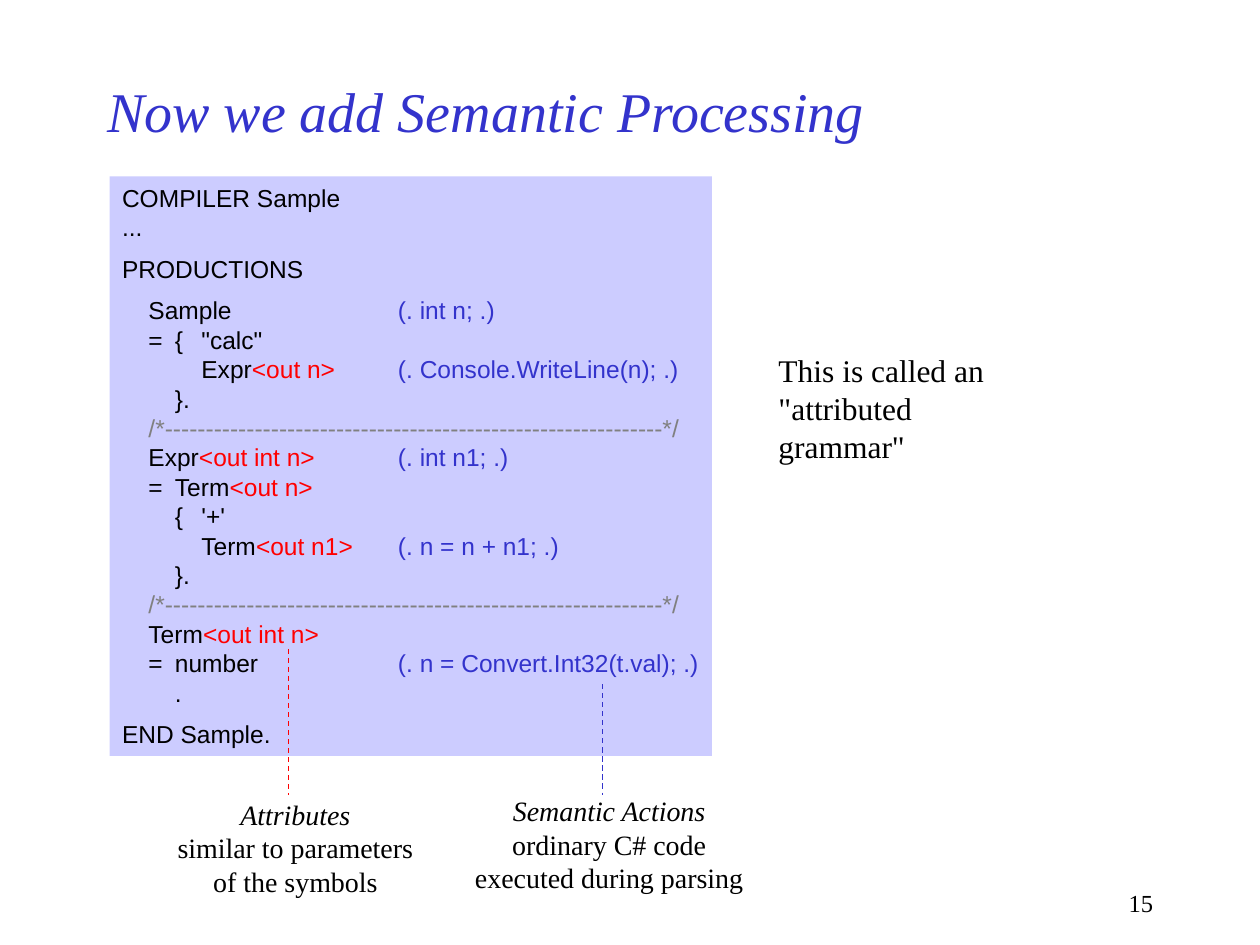
"""Build the slide that adds semantic processing to a compiler grammar."""

from typing import NamedTuple, Optional

from lxml.etree import SubElement
from pptx import Presentation
from pptx.dml.color import RGBColor
from pptx.enum.dml import MSO_LINE
from pptx.enum.shapes import MSO_CONNECTOR, MSO_SHAPE
from pptx.enum.text import MSO_ANCHOR, MSO_AUTO_SIZE, PP_ALIGN
from pptx.oxml.ns import qn
from pptx.slide import Slide
from pptx.text.text import TextFrame, _Paragraph
from pptx.util import Inches, Pt

COLORS = {
    "text": "000000",
    "action": "3333CC",
    "attribute": "FF0000",
    "comment": "808080",
    "panel": "CCCCFF",
}
SERIF = "Times New Roman"
SANS = "Arial"
CODE_TABS = (0.21, 0.42, 0.63, 2.19)


class Run(NamedTuple):
    text: str
    color: str = "text"
    italic: bool = False


class Line(NamedTuple):
    runs: tuple[Run, ...]
    space_before: float = 0


class Label(NamedTuple):
    box: tuple[float, float, float, float]
    lines: tuple[Line, ...]
    size: float
    alignment: PP_ALIGN = PP_ALIGN.LEFT
    wrap: bool = False


class Leader(NamedTuple):
    x: float
    top: float
    bottom: float
    color: str


def line(text: str, attribute: str = "", action: str = "", space_before: float = 0) -> Line:
    parts = (Run(text), Run(attribute, "attribute"), Run(action, "action"))
    return Line(tuple(run for run in parts if run.text), space_before)


SEPARATOR = Line((Run("\t/*" + "-" * 61 + "*/", "comment"),))

GRAMMAR = (
    line("COMPILER Sample"),
    line("..."),
    line("PRODUCTIONS", space_before=7),
    line("\tSample \t", action="(. int n; .)", space_before=7),
    line('\t=\t{\t"calc"'),
    line("\t\t\tExpr", "<out n>\t", "(. Console.WriteLine(n); .)"),
    line("\t\t}."),
    SEPARATOR,
    line("\tExpr", "<out int n>\t", "(. int n1; .)"),
    line("\t=\tTerm", "<out n>"),
    line("\t\t{\t'+'"),
    line("\t\t\tTerm", "<out n1>\t", "(. n = n + n1; .)"),
    line("\t\t}."),
    SEPARATOR,
    line("\tTerm", "<out int n>"),
    line("\t=\tnumber\t", action="(. n = Convert.Int32(t.val); .)"),
    line("\t\t."),
    line("END Sample.", space_before=7),
)

LABELS = (
    Label(
        (1.31, 6.28, 2.07, 0.9),
        (Line((Run("Attributes", italic=True),)), line("similar to parameters"), line("of the symbols")),
        16,
        PP_ALIGN.CENTER,
    ),
    Label(
        (3.67, 6.25, 2.33, 0.9),
        (Line((Run("Semantic Actions", italic=True),)), line("ordinary C# code"), line("executed during parsing")),
        16,
        PP_ALIGN.CENTER,
    ),
    Label((6.08, 2.74, 2.32, 0.7), (line("This is called an"), line('"attributed grammar"')), 18),
    Label((7.17, 7, 2.08, 0.33), (line("15"),), 14, PP_ALIGN.RIGHT, True),
)

LEADERS = (
    Leader(2.29, 5.15, 6.31, "attribute"),
    Leader(4.78, 5.43, 6.31, "action"),
)


def rgb(name: str) -> RGBColor:
    return RGBColor.from_string(COLORS[name])


def add_tabs(paragraph: _Paragraph, stops: tuple[float, ...]) -> None:
    tab_list = SubElement(paragraph._p.get_or_add_pPr(), qn("a:tabLst"))
    for stop in stops:
        SubElement(tab_list, qn("a:tab"), pos=str(Inches(stop)), algn="l")


def add_run(paragraph: _Paragraph, content: Run, font_name: str, size: float) -> None:
    run = paragraph.add_run()
    run.text = content.text
    run.font.name = font_name
    run.font.size = Pt(size)
    run.font.italic = content.italic
    run.font.color.rgb = rgb(content.color)


def write_lines(
    frame: TextFrame,
    lines: tuple[Line, ...],
    font_name: str,
    size: float,
    alignment: PP_ALIGN = PP_ALIGN.LEFT,
    tabs: Optional[tuple[float, ...]] = None,
) -> None:
    for index, content in enumerate(lines):
        paragraph = frame.add_paragraph() if index else frame.paragraphs[0]
        if tabs:
            add_tabs(paragraph, tabs)
        paragraph.alignment = alignment
        if content.space_before:
            paragraph.space_before = Pt(content.space_before)
        for run in content.runs:
            add_run(paragraph, run, font_name, size)


def format_title(slide: Slide) -> None:
    title = slide.shapes.title
    title.left, title.top = Inches(0.75), Inches(0.5)
    title.width, title.height = Inches(7.5), Inches(0.75)
    title.text_frame.vertical_anchor = MSO_ANCHOR.MIDDLE
    title_line = Line((Run("Now we add Semantic Processing", "action", True),))
    write_lines(title.text_frame, (title_line,), SERIF, 32)


def add_grammar(slide: Slide) -> None:
    panel = slide.shapes.add_shape(
        MSO_SHAPE.RECTANGLE, Inches(0.87), Inches(1.4), Inches(4.78), Inches(4.6)
    )
    panel.shadow.inherit = False
    panel.fill.solid()
    panel.fill.fore_color.rgb = rgb("panel")
    panel.line.fill.background()
    frame = panel.text_frame
    frame.word_wrap = False
    frame.auto_size = MSO_AUTO_SIZE.SHAPE_TO_FIT_TEXT
    frame.vertical_anchor = MSO_ANCHOR.TOP
    write_lines(frame, GRAMMAR, SANS, 14, tabs=CODE_TABS)


def add_label(slide: Slide, label: Label) -> None:
    frame = slide.shapes.add_textbox(*map(Inches, label.box)).text_frame
    frame.word_wrap = label.wrap
    if not label.wrap:
        frame.auto_size = MSO_AUTO_SIZE.SHAPE_TO_FIT_TEXT
    write_lines(frame, label.lines, SERIF, label.size, label.alignment)


def add_leader(slide: Slide, leader: Leader) -> None:
    x = Inches(leader.x)
    connector = slide.shapes.add_connector(
        MSO_CONNECTOR.STRAIGHT, x, Inches(leader.top), x, Inches(leader.bottom)
    )
    connector.line.color.rgb = rgb(leader.color)
    connector.line.width = Pt(0.75)
    connector.line.dash_style = MSO_LINE.DASH
    SubElement(connector._element.spPr, qn("a:effectLst"))


def main() -> None:
    presentation = Presentation()
    presentation.slide_width, presentation.slide_height = Inches(10), Inches(7.5)
    slide = presentation.slides.add_slide(presentation.slide_layouts.get_by_name("Title Only"))
    format_title(slide)
    add_grammar(slide)
    for leader in LEADERS:
        add_leader(slide, leader)
    for label in LABELS:
        add_label(slide, label)
    presentation.save("out.pptx")


if __name__ == "__main__":
    main()
